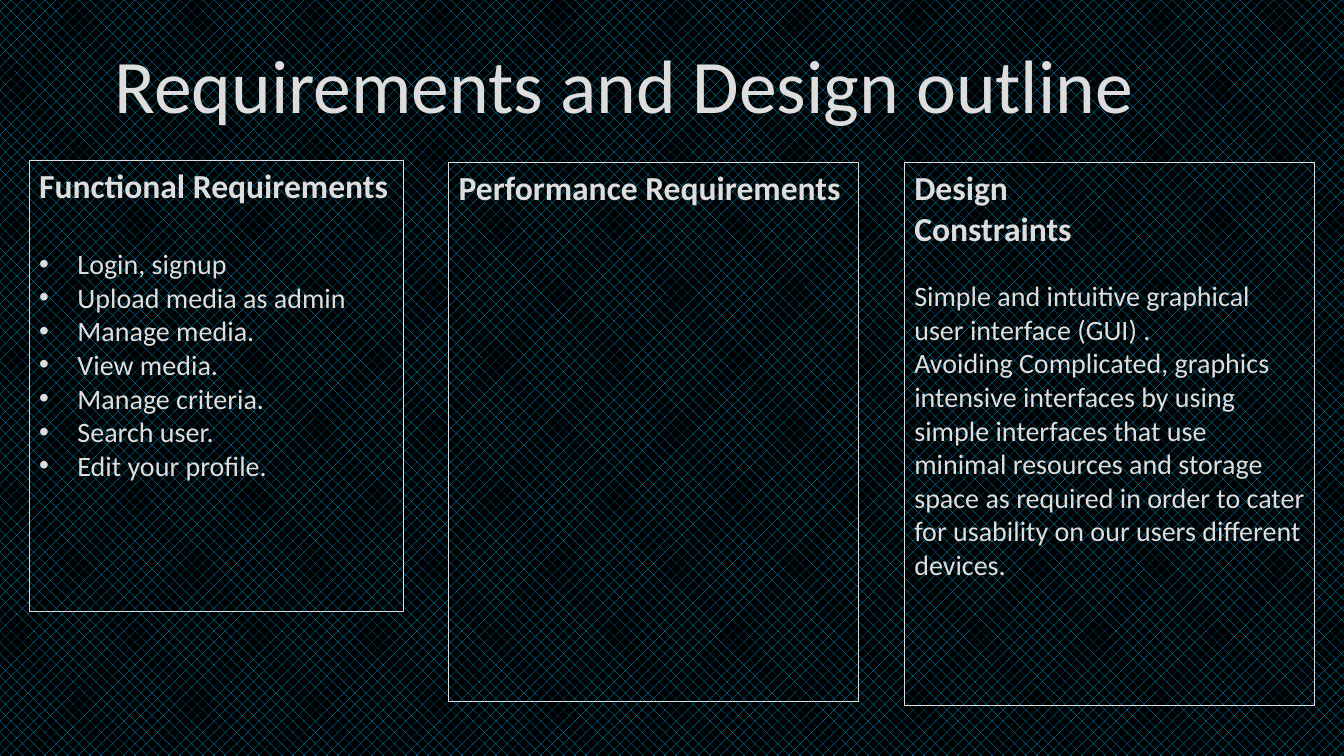
from dataclasses import dataclass
from lxml import etree
from pptx import Presentation
from pptx.dml.color import RGBColor
from pptx.enum.dml import MSO_PATTERN
from pptx.enum.shapes import MSO_SHAPE
from pptx.enum.text import MSO_ANCHOR, PP_ALIGN
from pptx.oxml.ns import qn
from pptx.util import Inches, Pt

TITLE = "Requirements and Design outline"
TITLE_BOX = (0.29, 0.25, 11.8, 1.15)

# Gap is the space in points between the heading and the body.
PANELS = [
    {
        "box": (0.29, 1.59, 3.71, 4.48),
        "head": ["Functional Requirements"],
        "body": [
            "Login, signup",
            "Upload media as admin",
            "Manage media.",
            "View media.",
            "Manage criteria.",
            "Search user.",
            "Edit your profile.",
        ],
        "gap": 29.3,
        "bullets": True,
    },
    {
        "box": (4.45, 1.61, 4.07, 5.35),
        "head": ["Performance Requirements"],
        "body": [],
        "gap": 0,
        "bullets": False,
    },
    {
        "box": (8.97, 1.61, 4.07, 5.39),
        "head": ["Design", "Constraints"],
        "body": [
            "Simple and intuitive graphical user interface (GUI) .",
            "Avoiding Complicated, graphics intensive interfaces by using",
            "simple interfaces that use minimal resources and storage space "
            "as required in order to cater for usability on our users "
            "different devices.",
        ],
        "gap": 22,
        "bullets": False,
    },
]


@dataclass(frozen=True)
class Theme:
    font: str = "Calibri"
    text: RGBColor = RGBColor(0xDD, 0xDD, 0xDD)
    hatch: RGBColor = RGBColor(0x00, 0xB0, 0xF0)
    back: RGBColor = RGBColor(0, 0, 0)
    title: int = 54
    head: int = 24
    body: int = 20
    line: float = 0.75
    indent: float = 0.38


THEME = Theme()


def style(para, size, bold=False, align=PP_ALIGN.LEFT):
    para.alignment = align
    for run in para.runs:
        font = run.font
        font.name = THEME.font
        font.size = Pt(size)
        font.bold = bold
        font.color.rgb = THEME.text


def add_bullet(para):
    props = para._p.get_or_add_pPr()
    indent = Inches(THEME.indent)
    props.set("marL", str(indent))
    props.set("indent", str(-indent))
    etree.SubElement(props, qn("a:buFont")).set("typeface", "Arial")
    etree.SubElement(props, qn("a:buChar")).set("char", "•")


def add_title(slide):
    box = slide.shapes.add_textbox(*map(Inches, TITLE_BOX))
    frame = box.text_frame
    frame.word_wrap = True
    frame.vertical_anchor = MSO_ANCHOR.MIDDLE
    frame.text = TITLE
    style(frame.paragraphs[0], THEME.title, align=PP_ALIGN.CENTER)


def add_panel(slide, panel):
    box = slide.shapes.add_shape(
        MSO_SHAPE.RECTANGLE, *map(Inches, panel["box"])
    )
    box.shadow.inherit = False
    box.fill.background()
    box.line.color.rgb = THEME.text
    box.line.width = Pt(THEME.line)

    frame = box.text_frame
    frame.word_wrap = True
    frame.vertical_anchor = MSO_ANCHOR.TOP
    frame.text = "\n".join(panel["head"] + panel["body"])
    split = len(panel["head"])
    for para in frame.paragraphs[:split]:
        style(para, THEME.head, bold=True)
    for i, para in enumerate(frame.paragraphs[split:]):
        style(para, THEME.body)
        if i == 0:
            para.space_before = Pt(panel["gap"])
        if panel["bullets"]:
            add_bullet(para)


def main():
    deck = Presentation()
    deck.slide_width = Inches(13.33)
    deck.slide_height = Inches(7.5)
    slide = deck.slides.add_slide(deck.slide_layouts[6])

    fill = slide.background.fill
    fill.patterned()
    fill.pattern = MSO_PATTERN.PERCENT_25
    fill.fore_color.rgb = THEME.hatch
    fill.back_color.rgb = THEME.back

    add_title(slide)
    for panel in PANELS:
        add_panel(slide, panel)
    deck.save("out.pptx")


if __name__ == "__main__":
    main()
